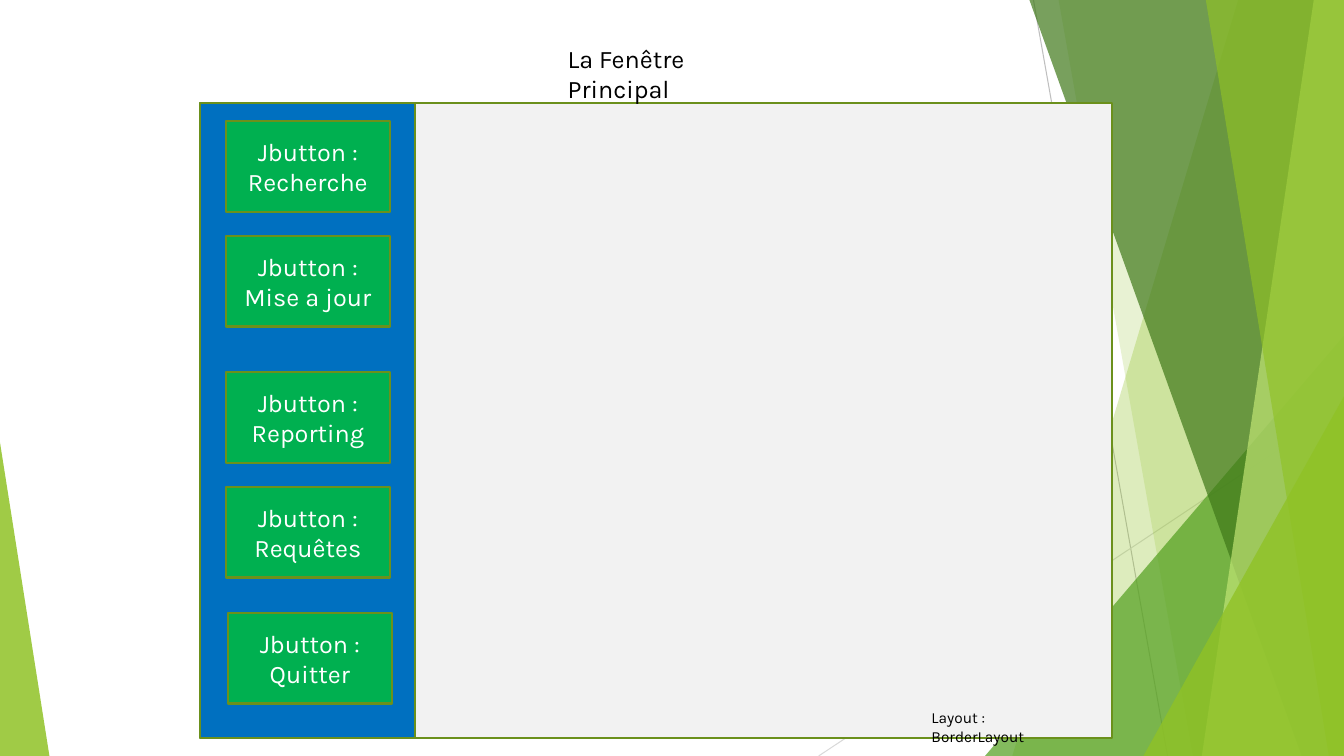
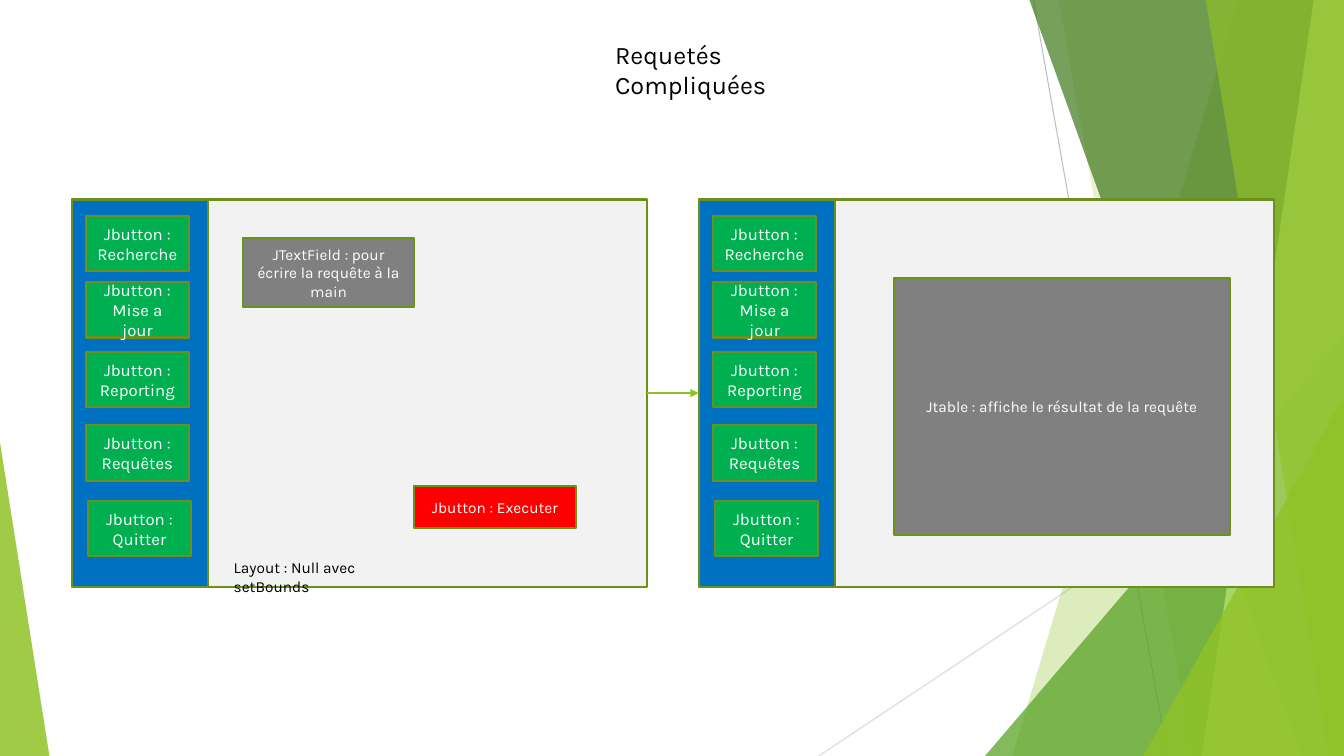
"""Build two slides that sketch the windows of a Java desktop program."""
from pptx import Presentation, oxml, util as u
from pptx.dml import color
from pptx.enum import shapes, text

WIDE, HIGH = 13.33, 7.5
FONT = "Karla"
HUES = {
    "lime": "90C226", "leaf": "54A021", "moss": "3F7819", "pale": "C0E474",
    "edge": "6B901C", "pane": "F2F2F2", "side": "0070C0", "key": "00B050",
    "field": "808080", "run": "FF0000", "white": "FFFFFF", "black": "000000",
    "ash": "BFBFBF", "mist": "D9D9D9",
}
KEYS = ["Recherche", "Mise a jour", "Reporting", "Requêtes", "Quitter"]
SHAPE = shapes.MSO_SHAPE
ALIGN = text.PP_ALIGN
ANCHOR = text.MSO_ANCHOR


def rgb(hue):
    """Give the named colour."""
    return color.RGBColor.from_string(HUES[hue])


def tag(name, **attrs):
    """Make an empty drawing element."""
    node = oxml.parse_xml(
        f'<a:{name} xmlns:a="http://schemas.openxmlformats.org/drawingml/2006/main"/>')
    for key, val in attrs.items():
        node.set(key, val)
    return node


def write(shape, words, size, hue, align, anchor):
    """Put one formatted paragraph into a shape."""
    frame = shape.text_frame
    frame.text = words
    frame.word_wrap = True
    frame.auto_size = text.MSO_AUTO_SIZE.NONE
    frame.vertical_anchor = anchor
    para = frame.paragraphs[0]
    para.alignment = align
    para.font.name = FONT
    para.font.size = u.Pt(size)
    para.font.color.rgb = rgb(hue)


def box(slide, x, y, w, h, hue, words="", size=11):
    """Draw an edged rectangle, with centred text if there is any."""
    shape = slide.shapes.add_shape(SHAPE.RECTANGLE, *map(u.Inches, (x, y, w, h)))
    shape.shadow.inherit = False
    shape.fill.solid()
    shape.fill.fore_color.rgb = rgb(hue)
    shape.line.color.rgb = rgb("edge")
    shape.line.width = u.Pt(1.5)
    if words:
        write(shape, words, size, "white", ALIGN.CENTER, ANCHOR.MIDDLE)
    return shape


def note(slide, x, y, w, words):
    """Write a small caption."""
    shape = slide.shapes.add_textbox(*map(u.Inches, (x, y, w, 0.29)))
    write(shape, words, 11, "black", ALIGN.LEFT, ANCHOR.TOP)


def head(slide, x, y, w, words):
    """Place the title in front of the other shapes."""
    title = slide.shapes.title
    title.left, title.top, title.width, title.height = map(u.Inches, (x, y, w, 0.4))
    write(title, words, 18, "black", ALIGN.LEFT, ANCHOR.TOP)
    slide.shapes._spTree.append(title._element)


def rule(slide, x1, y1, x2, y2, hue, width):
    """Draw a straight line."""
    line = slide.shapes.add_connector(
        shapes.MSO_CONNECTOR.STRAIGHT, *map(u.Inches, (x1, y1, x2, y2)))
    line.line.color.rgb = rgb(hue)
    line.line.width = u.Pt(width)
    line._element.spPr.append(tag("effectLst"))
    return line


def tint(shape, hue, share):
    """Fill a shape with a see-through colour."""
    shape.shadow.inherit = False
    shape.line.fill.background()
    shape.fill.solid()
    shape.fill.fore_color.rgb = rgb(hue)
    fill = shape._element.spPr.find(".//" + oxml.ns.qn("a:srgbClr"))
    fill.append(tag("alpha", val=str(share * 1000)))


def band(slide, top, foot, hue, share):
    """Draw a full-height band that ends at the right edge."""
    pts = [(u.Inches(x), u.Inches(y))
           for x, y in ((top, 0), (WIDE, 0), (WIDE, HIGH), (foot, HIGH))]
    form = slide.shapes.build_freeform(*pts[0], scale=1.0)
    form.add_line_segments(pts[1:], close=True)
    tint(form.convert_to_shape(), hue, share)


def wedge(slide, x, y, w, tip, hue, share):
    """Draw a triangle that stands on the bottom edge."""
    shape = slide.shapes.add_shape(
        SHAPE.ISOSCELES_TRIANGLE, *map(u.Inches, (x, y, w, HIGH - y)))
    shape.adjustments[0] = tip
    tint(shape, hue, share)


def adorn(slide):
    """Draw the shared backdrop and hand it to the layout."""
    rule(slide, 10.25, 0, 11.58, HIGH, "ash", 0.75)
    rule(slide, WIDE, 4.03, 8.12, HIGH, "mist", 0.75)
    band(slide, 12.28, 10.04, "lime", 30)
    band(slide, 10.5, 11.83, "lime", 20)
    wedge(slide, 9.77, 3.33, 3.56, 1, "leaf", 72)
    band(slide, 10.21, 12.91, "moss", 70)
    band(slide, 13.03, 11.92, "pale", 70)
    band(slide, 11.96, 13.18, "lime", 65)
    wedge(slide, 11.34, 3.93, 1.99, 1, "lime", 80)
    wedge(slide, 0, 4.39, 0.49, 0, "lime", 85)
    tree = slide.slide_layout.shapes._spTree
    parts = [part for part in slide.shapes if not part.is_placeholder]
    for num, part in enumerate(parts, 20):
        part._element._nvXxPr.cNvPr.id = num
        tree.append(part._element)


def window(slide, x, y, w, h, side, inset, tops, size):
    """Draw a window with its side menu and return the frame."""
    frame = box(slide, x, y, w, h, "pane")
    box(slide, x, y, side, h, "side")
    for key, top in zip(KEYS, tops):
        nudge = 0.02 if key == KEYS[-1] else 0
        box(slide, x + inset + nudge, y + top, side * 0.76, h / 7,
            "key", f"Jbutton : {key}", size)
    return frame


def join(slide, start, end):
    """Lead an arrow from one frame to the next."""
    line = rule(slide, 0, 0, 1, 1, "lime", 1)
    line.begin_connect(start, 3)
    line.end_connect(end, 1)
    line.line._get_or_add_ln().append(tag("tailEnd", type="triangle"))


def main():
    """Build and save the deck."""
    deck = Presentation()
    deck.slide_width, deck.slide_height = u.Inches(WIDE), u.Inches(HIGH)
    plan = deck.slide_layouts[5]

    home = deck.slides.add_slide(plan)
    adorn(home)
    window(home, 1.98, 1.02, 9.05, 6.3, 2.14, 0.26,
           (0.18, 1.32, 2.67, 3.81, 5.06), 18)
    note(home, 9.14, 6.98, 1.59, "Layout : BorderLayout")
    head(home, 5.53, 0.38, 2.22, "La Fenêtre Principal")

    query = deck.slides.add_slide(plan)
    left, right = [
        window(query, x, 1.98, 5.71, 3.84, 1.35, 0.14,
               (0.16, 0.82, 1.51, 2.24, 2.99), 12)
        for x in (0.71, 6.93)]
    join(query, left, right)
    box(query, 2.41, 2.36, 1.7, 0.69, "field",
        "JTextField : pour écrire la requête à la main")
    box(query, 4.11, 4.82, 1.6, 0.42, "run", "Jbutton : Executer")
    box(query, 8.87, 2.76, 3.33, 2.55, "field",
        "Jtable : affiche le résultat de la requête")
    note(query, 2.22, 5.49, 2, "Layout : Null avec setBounds")
    head(query, 6, 0.34, 2.55, "Requetés Compliquées")

    deck.save("out.pptx")


if __name__ == "__main__":
    main()
